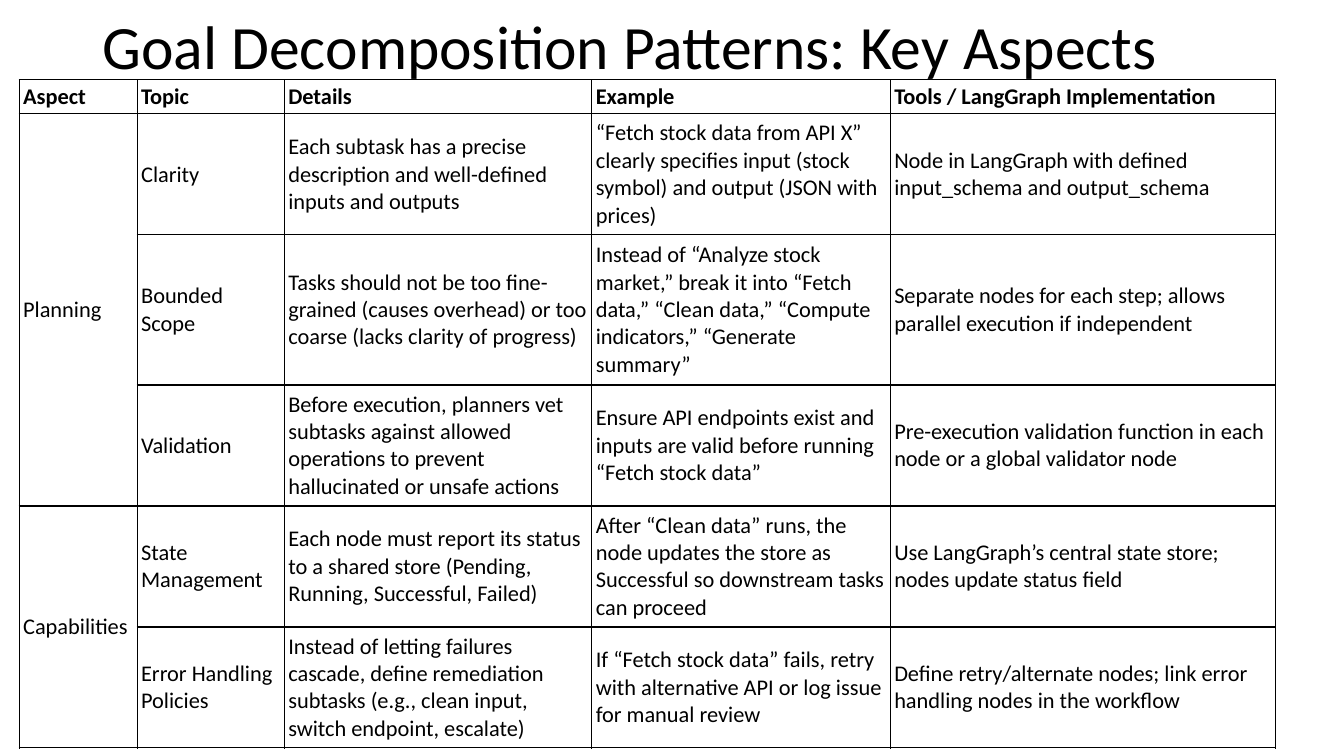
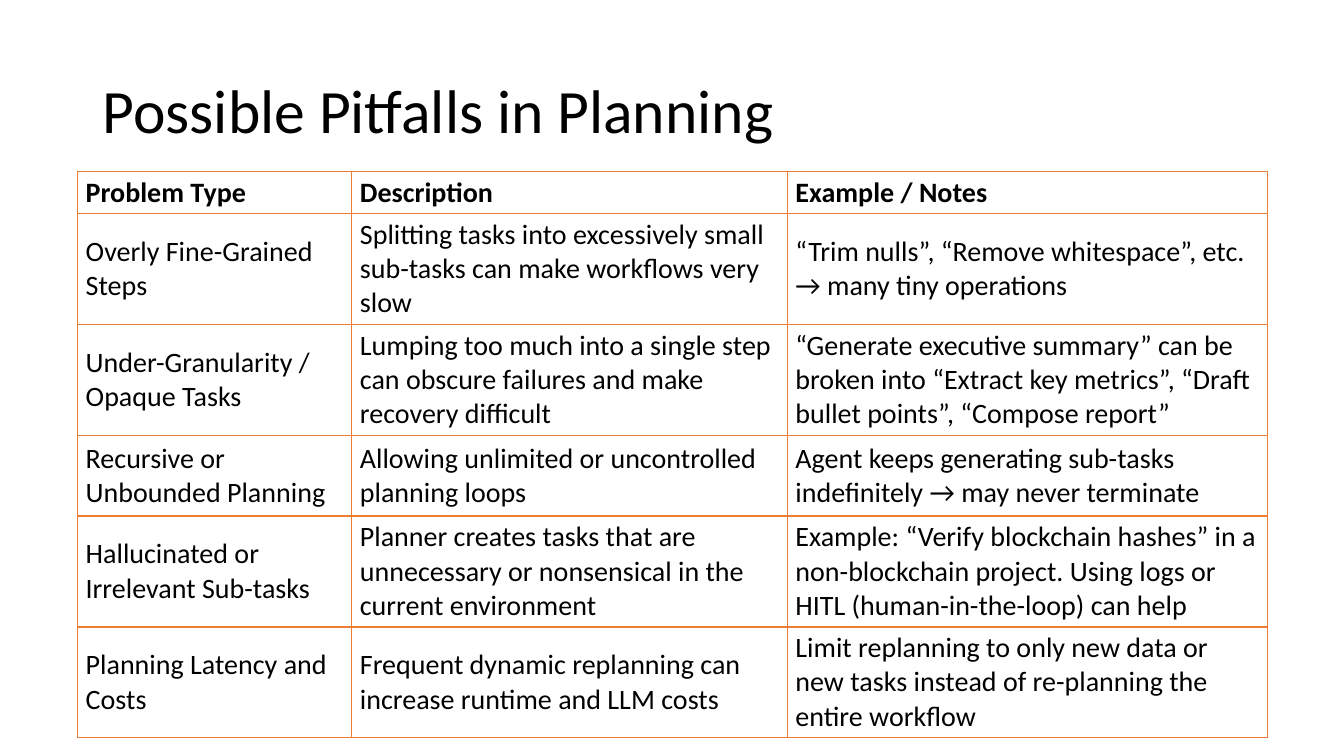
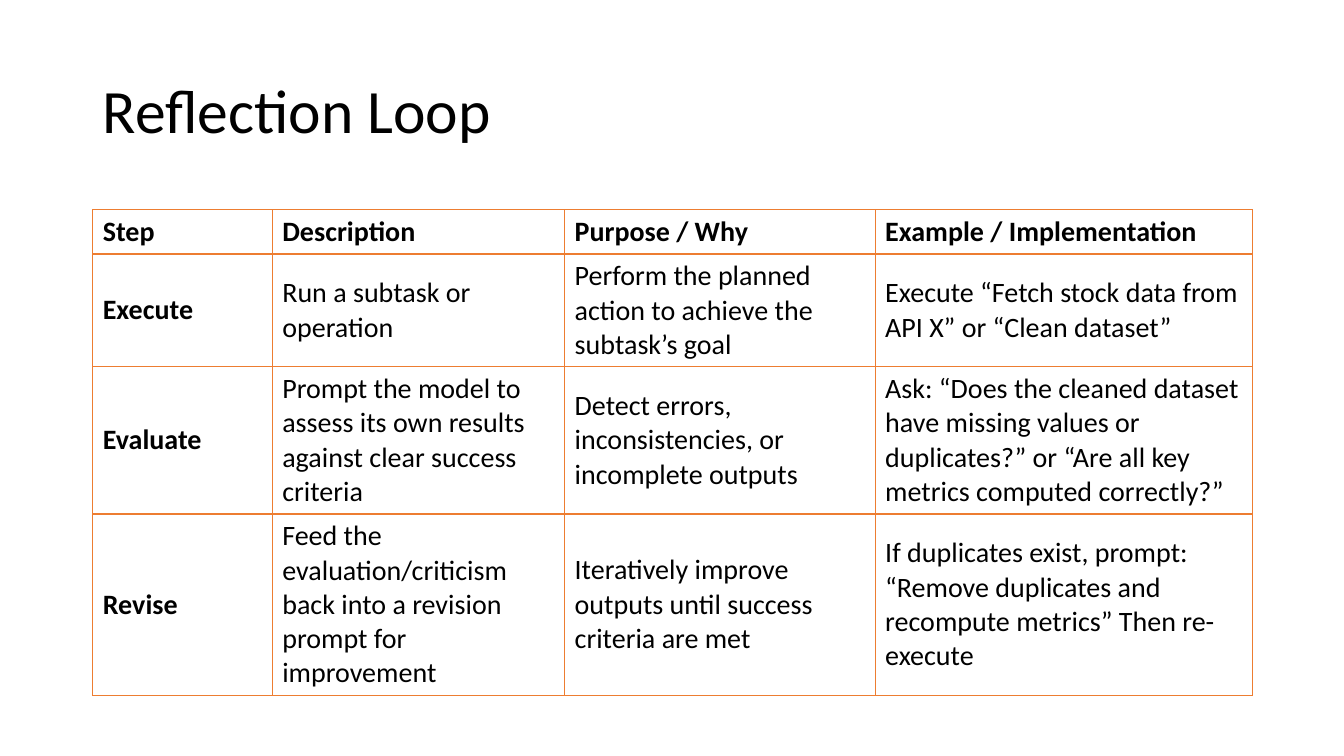
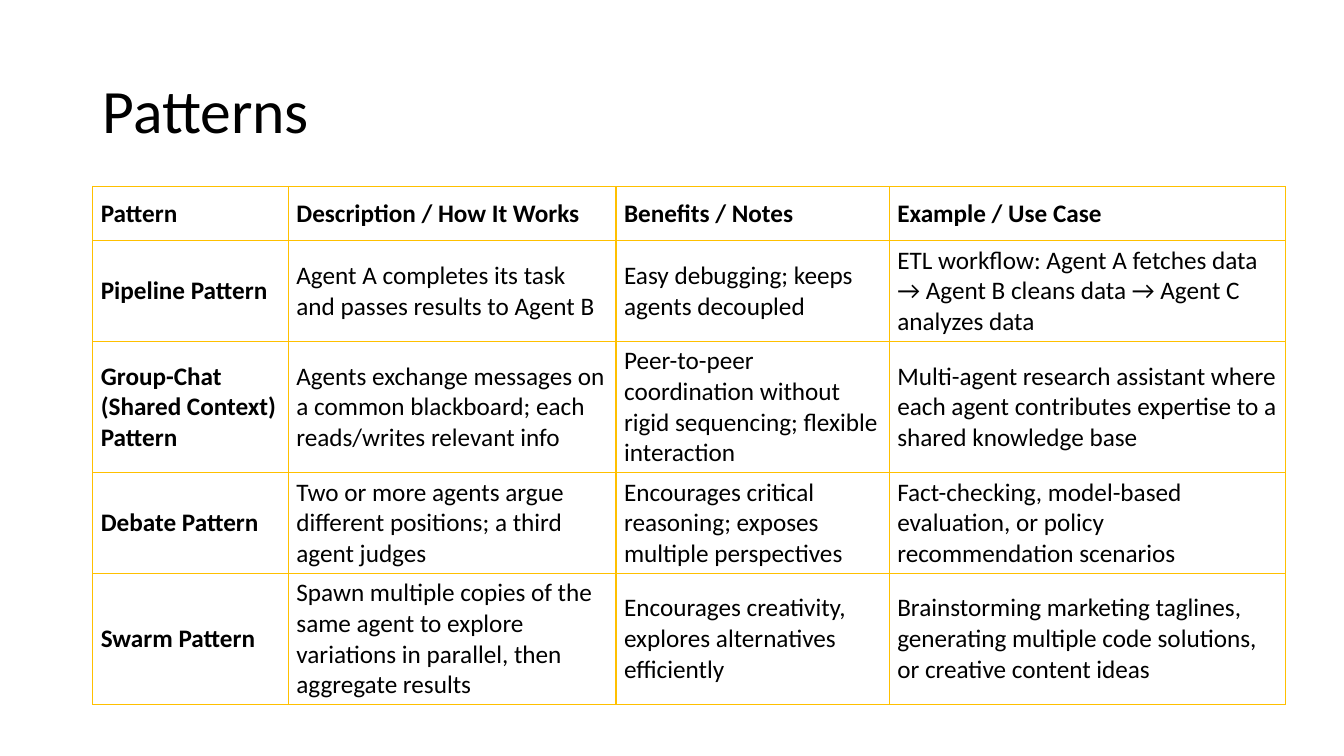
from dataclasses import dataclass

from lxml import etree
from pptx import Presentation
from pptx import util as u
from pptx.dml import color
from pptx.enum import text
from pptx.oxml import ns


@dataclass(frozen=True)
class Theme:
    font: str = "Calibri"
    ink: str = "000000"
    paper: str = "FFFFFF"
    orange: str = "ED7D31"
    gold: str = "FFC000"
    title_size: int = 44
    small: int = 16
    medium: int = 18
    large: int = 20
    border_width: int = 1


THEME = Theme()


class Deck:
    """Holds the style and the current slide."""

    def __init__(self, theme):
        self.theme = theme
        self.presentation = Presentation()
        self.presentation.slide_width = u.Inches(13.33)
        self.presentation.slide_height = u.Inches(7.5)
        self.slide = None

    def new_slide(self, title, top=0.4, height=1.45):
        self.slide = self.presentation.slides.add_slide(self.presentation.slide_layouts[6])
        box = self.slide.shapes.add_textbox(
            u.Inches(0.92), u.Inches(top), u.Inches(11.5), u.Inches(height))
        frame = box.text_frame
        frame.word_wrap = True
        frame.vertical_anchor = text.MSO_ANCHOR.MIDDLE
        frame.paragraphs[0].line_spacing = 0.9
        self.add_run(frame.paragraphs[0], title, self.theme.title_size)

    def add_run(self, paragraph, words, size, bold=False):
        run = paragraph.add_run()
        run.text = words
        run.font.name = self.theme.font
        run.font.size = u.Pt(size)
        run.font.bold = bold
        run.font.color.rgb = color.RGBColor.from_string(self.theme.ink)

    def add_borders(self, cell, border):
        properties = cell._tc.get_or_add_tcPr()
        for side in ("lnL", "lnR", "lnT", "lnB"):
            line = etree.SubElement(properties, ns.qn(f"a:{side}"),
                                    w=str(u.Pt(self.theme.border_width)))
            fill = etree.SubElement(line, ns.qn("a:solidFill"))
            etree.SubElement(fill, ns.qn("a:srgbClr"), val=border)

    def add_table(self, left, top, widths, heights, rows, size, border,
                  inset=(0.08, 0.04), bold_first_column=False, filled=False):
        """A cell holding None joins the cell above it."""
        table = self.slide.shapes.add_table(
            len(heights), len(widths), u.Inches(left), u.Inches(top),
            u.Inches(sum(widths)), u.Inches(sum(heights))).table
        table.first_row = table.horz_banding = False
        for column, width in zip(table.columns, widths):
            column.width = u.Inches(width)
        for row, height in zip(table.rows, heights):
            row.height = u.Inches(height)

        for i, row in enumerate(rows):
            for j, words in enumerate(row):
                cell = table.cell(i, j)
                self.add_borders(cell, border)
                if filled:
                    cell.fill.solid()
                    cell.fill.fore_color.rgb = color.RGBColor.from_string(self.theme.paper)
                else:
                    cell.fill.background()
                cell.margin_left = cell.margin_right = u.Inches(inset[0])
                cell.margin_top = cell.margin_bottom = u.Inches(inset[1])
                cell.vertical_anchor = text.MSO_ANCHOR.MIDDLE
                if words:
                    bold = i == 0 or (bold_first_column and j == 0)
                    self.add_run(cell.text_frame.paragraphs[0], words, size, bold)

        # Join each label with the empty cells below it
        for j in range(len(widths)):
            starts = [i for i, row in enumerate(rows) if row[j]] + [len(rows)]
            for first, following in zip(starts, starts[1:]):
                if following - first > 1:
                    table.cell(first, j).merge(table.cell(following - 1, j))


ASPECTS = [
    ("Aspect", "Topic", "Details", "Example", "Tools / LangGraph Implementation"),
    ("Planning", "Clarity",
     "Each subtask has a precise description and well-defined inputs and outputs",
     "“Fetch stock data from API X” clearly specifies input (stock symbol) and output "
     "(JSON with prices)",
     "Node in LangGraph with defined input_schema and output_schema"),
    (None, "Bounded Scope",
     "Tasks should not be too fine-grained (causes overhead) or too coarse "
     "(lacks clarity of progress)",
     "Instead of “Analyze stock market,” break it into “Fetch data,” “Clean data,” "
     "“Compute indicators,” “Generate summary”",
     "Separate nodes for each step; allows parallel execution if independent"),
    (None, "Validation",
     "Before execution, planners vet subtasks against allowed operations to prevent "
     "hallucinated or unsafe actions",
     "Ensure API endpoints exist and inputs are valid before running “Fetch stock data”",
     "Pre-execution validation function in each node or a global validator node"),
    ("Capabilities", "State Management",
     "Each node must report its status to a shared store (Pending, Running, Successful, Failed)",
     "After “Clean data” runs, the node updates the store as Successful so downstream "
     "tasks can proceed",
     "Use LangGraph’s central state store; nodes update status field"),
    (None, "Error Handling Policies",
     "Instead of letting failures cascade, define remediation subtasks "
     "(e.g., clean input, switch endpoint, escalate)",
     "If “Fetch stock data” fails, retry with alternative API or log issue for manual review",
     "Define retry/alternate nodes; link error handling nodes in the workflow"),
]

PITFALLS = [
    ("Problem Type", "Description", "Example / Notes"),
    ("Overly Fine-Grained Steps",
     "Splitting tasks into excessively small sub-tasks can make workflows very slow",
     "“Trim nulls”, “Remove whitespace”, etc. → many tiny operations"),
    ("Under-Granularity / Opaque Tasks",
     "Lumping too much into a single step can obscure failures and make recovery difficult",
     "“Generate executive summary” can be broken into “Extract key metrics”, "
     "“Draft bullet points”, “Compose report”"),
    ("Recursive or Unbounded Planning",
     "Allowing unlimited or uncontrolled planning loops",
     "Agent keeps generating sub-tasks indefinitely → may never terminate"),
    ("Hallucinated or Irrelevant Sub-tasks",
     "Planner creates tasks that are unnecessary or nonsensical in the current environment",
     "Example: “Verify blockchain hashes” in a non-blockchain project. Using logs or "
     "HITL (human-in-the-loop) can help"),
    ("Planning Latency and Costs",
     "Frequent dynamic replanning can increase runtime and LLM costs",
     "Limit replanning to only new data or new tasks instead of re-planning the "
     "entire workflow"),
]

REFLECTION = [
    ("Step", "Description", "Purpose / Why", "Example / Implementation"),
    ("Execute", "Run a subtask or operation",
     "Perform the planned action to achieve the subtask’s goal",
     "Execute “Fetch stock data from API X” or “Clean dataset”"),
    ("Evaluate",
     "Prompt the model to assess its own results against clear success criteria",
     "Detect errors, inconsistencies, or incomplete outputs",
     "Ask: “Does the cleaned dataset have missing values or duplicates?” or "
     "“Are all key metrics computed correctly?”"),
    ("Revise",
     "Feed the evaluation/criticism back into a revision prompt for improvement",
     "Iteratively improve outputs until success criteria are met",
     "If duplicates exist, prompt: “Remove duplicates and recompute metrics” Then re-execute"),
]

PATTERNS = [
    ("Pattern", "Description / How It Works", "Benefits / Notes", "Example / Use Case"),
    ("Pipeline Pattern",
     "Agent A completes its task and passes results to Agent B",
     "Easy debugging; keeps agents decoupled",
     "ETL workflow: Agent A fetches data → Agent B cleans data → Agent C analyzes data"),
    ("Group-Chat (Shared Context) Pattern",
     "Agents exchange messages on a common blackboard; each reads/writes relevant info",
     "Peer-to-peer coordination without rigid sequencing; flexible interaction",
     "Multi-agent research assistant where each agent contributes expertise to a "
     "shared knowledge base"),
    ("Debate Pattern",
     "Two or more agents argue different positions; a third agent judges",
     "Encourages critical reasoning; exposes multiple perspectives",
     "Fact-checking, model-based evaluation, or policy recommendation scenarios"),
    ("Swarm Pattern",
     "Spawn multiple copies of the same agent to explore variations in parallel, "
     "then aggregate results",
     "Encourages creativity, explores alternatives efficiently",
     "Brainstorming marketing taglines, generating multiple code solutions, "
     "or creative content ideas"),
]


def main():
    deck = Deck(THEME)

    # Key aspects
    deck.new_slide("Goal Decomposition Patterns: Key Aspects", top=0.08, height=0.82)
    deck.add_table(0.19, 0.79, [1.17, 1.46, 3.05, 2.96, 3.82],
                   [0.34, 1.2, 1.49, 1.2, 1.2, 1.2], ASPECTS,
                   THEME.small, THEME.ink, inset=(0.04, 0.02), filled=True)

    # Pitfalls
    deck.new_slide("Possible Pitfalls in Planning")
    deck.add_table(0.77, 1.7, [2.72, 4.32, 4.76], [0.42, 1.1, 1.1, 0.8, 1.1, 1.1],
                   PITFALLS, THEME.large, THEME.orange)

    # Reflection loop
    deck.new_slide("Reflection Loop")
    deck.add_table(0.92, 2.08, [1.78, 2.9, 3.08, 3.74], [0.44, 1.12, 1.46, 1.8],
                   REFLECTION, THEME.large, THEME.orange,
                   inset=(0.1, 0.05), bold_first_column=True)

    # Patterns
    deck.new_slide("Patterns")
    deck.add_table(0.92, 1.85, [1.94, 3.25, 2.71, 3.93], [0.54, 1, 1.3, 1, 1.3],
                   PATTERNS, THEME.medium, THEME.gold, bold_first_column=True)

    deck.presentation.save("out.pptx")


if __name__ == "__main__":
    main()
